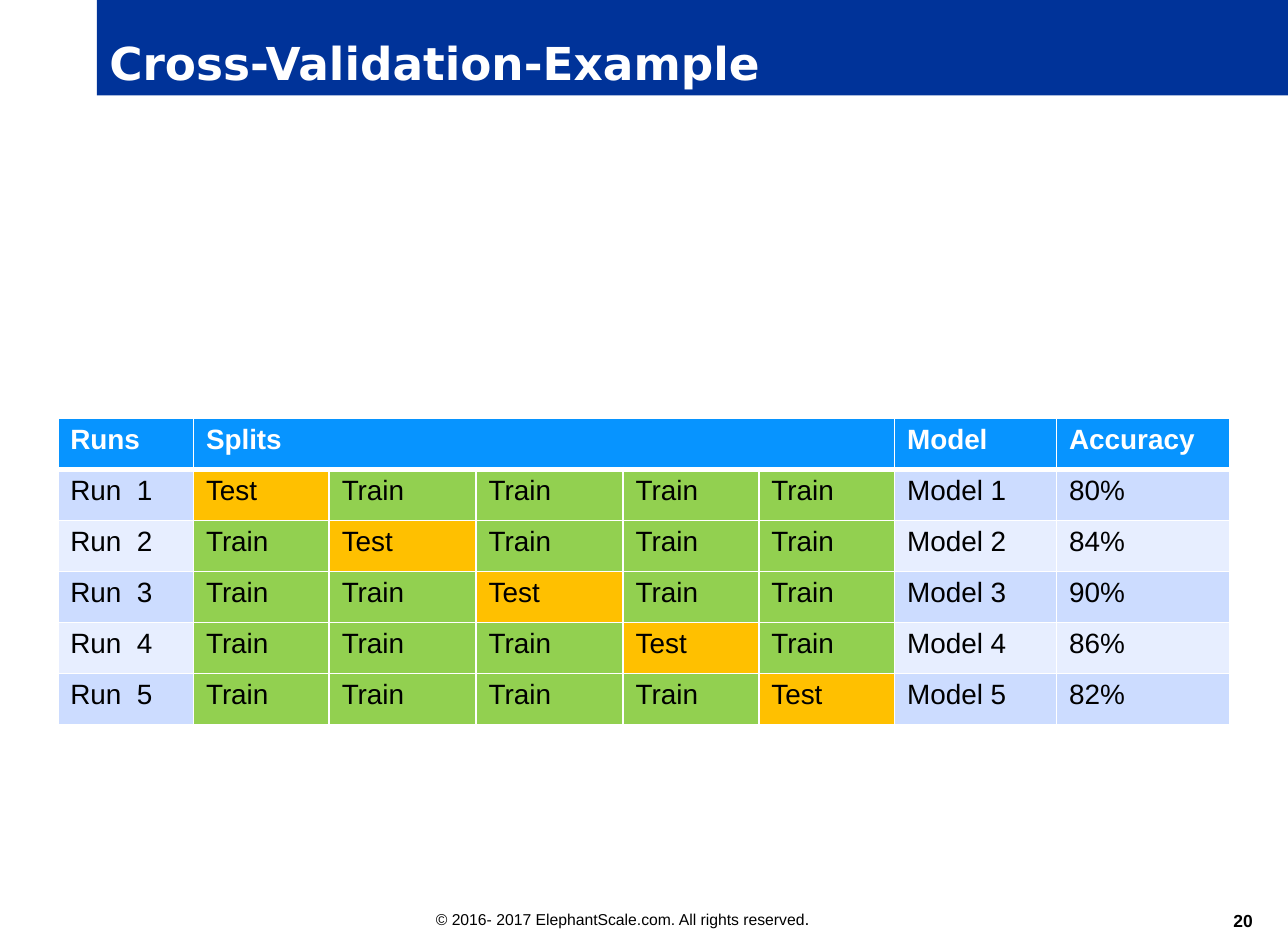
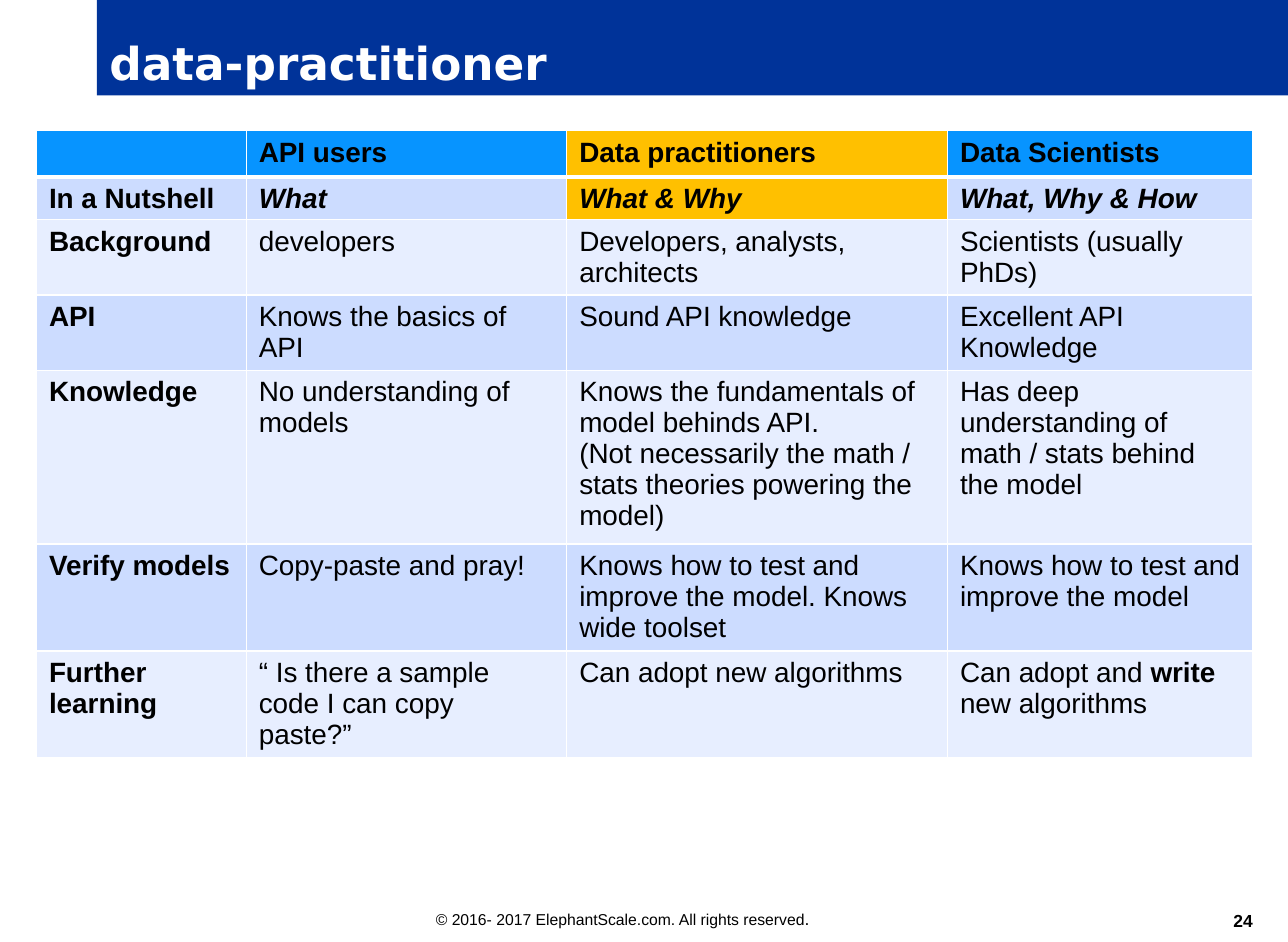
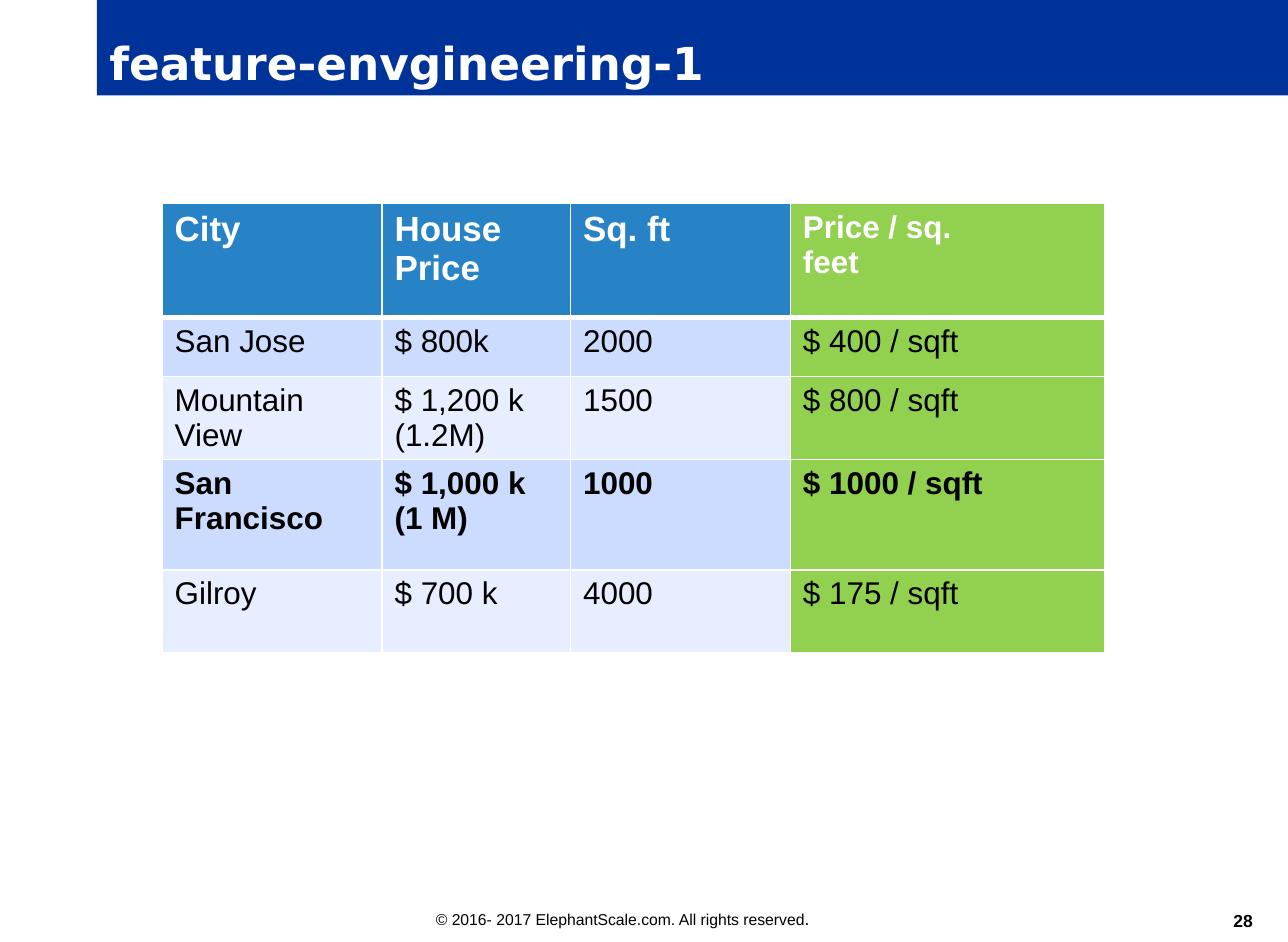
"""Build three table slides on a shared title band and footer."""
from dataclasses import dataclass

from lxml import etree
from pptx import Presentation
from pptx.dml.color import RGBColor
from pptx.enum.text import MSO_ANCHOR, MSO_AUTO_SIZE, PP_ALIGN
from pptx.oxml.ns import qn
from pptx.util import Inches, Pt

LEFT, RIGHT = PP_ALIGN.LEFT, PP_ALIGN.RIGHT
TOP, BOTTOM = MSO_ANCHOR.TOP, MSO_ANCHOR.BOTTOM
FIXED = MSO_AUTO_SIZE.NONE


@dataclass(frozen=True)
class Theme:
    """Colours, fonts, type sizes and line widths of the deck."""

    navy: str = "003399"
    head: str = "0794FF"
    steel: str = "2782C6"
    dark: str = "CCDCFF"
    light: str = "E7EEFF"
    gold: str = "FFC000"
    green: str = "92D050"
    white: str = "FFFFFF"
    black: str = "000000"
    body: str = "Arial"
    title: str = "DejaVu Sans"
    banner: int = 26
    large: int = 20
    mid: int = 18
    base: int = 16
    small: int = 10
    tiny: int = 9
    thin: float = 0.96
    thick: float = 3


THEME = Theme()
SIZE = (10.25, 7.5)
BAND = (0.77, 0, 9.48, 0.76)
FOOT = (3.37, 7.18, 4.65, 0.26)
PAGE = (9.37, 7.16, 0.6, 0.25)
RIGHTS = "© 2016- 2017 ElephantScale.com. All rights reserved"

SCORES = ["80%", "84%", "90%", "86%", "82%"]
ROLES = [
    ["", "API users", "Data practitioners", "Data Scientists"],
    ["In a Nutshell", "What", "What & Why", "What, Why & How"],
    ["Background", "developers", "Developers, analysts, architects",
     "Scientists (usually PhDs)"],
    ["API", "Knows the basics of API", "Sound API knowledge",
     "Excellent API Knowledge"],
    ["Knowledge", "No understanding of models",
     "Knows the fundamentals of model behinds API.\n"
     "(Not necessarily the math / stats theories powering the model)",
     "Has deep understanding of\nmath / stats behind\nthe model"],
    ["Verify models", "Copy-paste and pray!",
     "Knows how to test and improve the model. Knows wide toolset",
     "Knows how to test and improve the model"],
    ["Further\nlearning", "“ Is there a sample code I can copy paste?”",
     "Can adopt new algorithms", "Can adopt and *write* new algorithms"],
]
HOMES = [
    ["City", "House\nPrice", "Sq. ft", "Price / sq.\nfeet"],
    ["San Jose", "$ 800k", "2000", "$ 400 / sqft"],
    ["Mountain\nView", "$ 1,200 k\n(1.2M)", "1500", "$ 800 / sqft"],
    ["San\nFrancisco", "$ 1,000 k\n(1 M)", "1000", "$ 1000 / sqft"],
    ["Gilroy", "$ 700 k", "4000", "$ 175 / sqft"],
]


def font(size, color=THEME.black, name=THEME.body, bold=False, italic=False):
    """Return the format values of a run."""
    return {"name": name, "size": Pt(size), "bold": bold, "italic": italic,
            "color": color}


def style(target, values):
    """Set each attribute of the target from the values."""
    for key, value in values.items():
        if key == "color":
            target.color.rgb = RGBColor.from_string(value)
        else:
            setattr(target, key, value)


def add_run(para, text, values):
    """Add one formatted run to a paragraph."""
    run = para.add_run()
    run.text = text
    style(run.font, values)


def write(frame, text, values, align=LEFT):
    """Write lines as paragraphs, with words between stars in bold."""
    for row, line in enumerate(text.split("\n")):
        para = frame.add_paragraph() if row else frame.paragraphs[0]
        para.alignment = align
        for part, words in enumerate(line.split("*")):
            if words:
                strong = {"bold": True} if part % 2 else {}
                add_run(para, words, values | strong)


def paint(target, color):
    """Give a shape or cell a solid fill."""
    target.fill.solid()
    target.fill.fore_color.rgb = RGBColor.from_string(color)


def add_box(slide, box, anchor=TOP):
    """Add a wrapping text box and return its frame."""
    frame = slide.shapes.add_textbox(*map(Inches, box)).text_frame
    style(frame, {"word_wrap": True, "vertical_anchor": anchor})
    return frame


def add_title(slide, text, box):
    """Turn the title placeholder into the top band."""
    title = slide.shapes.title
    for key, size in zip(("left", "top", "width", "height"), box):
        setattr(title, key, Inches(size))
    paint(title, THEME.navy)
    style(title.text_frame, {"word_wrap": True, "auto_size": FIXED,
                             "vertical_anchor": BOTTOM})
    write(title.text_frame, text,
          font(THEME.banner, THEME.white, THEME.title, bold=True))


def add_foot(slide, box):
    """Add the copyright line."""
    para = add_box(slide, box).paragraphs[0]
    add_run(para, RIGHTS, font(THEME.tiny))
    add_run(para, ".", font(THEME.small))


def add_page(slide, number, box):
    """Add the page number."""
    frame = add_box(slide, box, BOTTOM)
    style(frame, {f"margin_{side}": 0
                  for side in ("left", "right", "top", "bottom")})
    write(frame, str(number), font(THEME.small, bold=True), RIGHT)


def edge(cell, row):
    """Draw white cell borders, thick below the header row."""
    props = cell._tc.get_or_add_tcPr()
    for side in "LRTB":
        heavy = (row, side) in ((0, "B"), (1, "T"))
        width = Pt(THEME.thick if heavy else THEME.thin)
        line = etree.SubElement(props, qn(f"a:ln{side}"), w=str(int(width)))
        fill = etree.SubElement(line, qn("a:solidFill"))
        etree.SubElement(fill, qn("a:srgbClr"), val=THEME.white)


def add_grid(slide, spot, cols, rows, cells, look):
    """Add a table whose look gives each cell a fill and font, or None."""
    box = (*spot, sum(cols), sum(rows))
    table = slide.shapes.add_table(
        len(rows), len(cols), *map(Inches, box)).table
    style(table, {"first_row": False, "horz_banding": False})
    for parts, sizes, key in ((table.columns, cols, "width"),
                              (table.rows, rows, "height")):
        for part, size in zip(parts, sizes):
            setattr(part, key, Inches(size))
    for row, line in enumerate(cells):
        for col, text in enumerate(line):
            cell = table.cell(row, col)
            fill, values = look(row, col)
            edge(cell, row)
            paint(cell, fill or (THEME.dark if row % 2 else THEME.light))
            style(cell, {"margin_bottom": 0})
            write(cell.text_frame, text, values)
    return table


def look_runs(row, col):
    """Mark the test split of each run on the diagonal."""
    if row == 0:
        return THEME.head, font(THEME.base, THEME.white, bold=True)
    fill = None
    if 1 <= col <= 5:
        fill = THEME.gold if row == col else THEME.green
    return fill, font(THEME.base)


def look_roles(row, col):
    """Stress the first rows, the first column and the practitioner."""
    fill = THEME.head if row == 0 else None
    if row < 2 and col == 2:
        fill = THEME.gold
    return fill, font(THEME.base, bold=row < 2 or col == 0,
                      italic=row == 1 and col > 0)


def look_homes(row, col):
    """Stress the derived price column and the dearest city."""
    last = col == 3
    fill = THEME.green if last else None
    if row == 0:
        size = THEME.mid if last else THEME.large
        return fill or THEME.steel, font(size, THEME.white, bold=True)
    return fill, font(THEME.mid, bold=row == 3)


def add_runs(slide, spot):
    """Add the table of validation runs."""
    cells = [["Runs", "Splits", "", "", "", "", "Model", "Accuracy"]]
    for run, score in enumerate(SCORES, 1):
        splits = ["Test" if split == run else "Train"
                  for split in range(1, 6)]
        cells.append([f"Run  {run}", *splits, f"Model {run}", score])
    cols = [1.08, 1.08, 1.17, 1.17, 1.08, 1.08, 1.29, 1.38]
    rows = [2.44 / len(cells)] * len(cells)
    table = add_grid(slide, spot, cols, rows, cells, look_runs)
    table.cell(0, 1).merge(table.cell(0, 5))


def add_roles(slide, spot):
    """Add the table that compares three roles."""
    add_grid(slide, spot, [1.67, 2.55, 3.03, 2.43],
             [0.37, 0.34, 0.6, 0.6, 1.33, 0.84, 0.84], ROLES, look_roles)


def add_homes(slide, spot):
    """Add the table of house prices."""
    add_grid(slide, spot, [1.75, 1.5, 1.75, 2.5],
             [0.91, 0.47, 0.66, 0.88, 0.66], HOMES, look_homes)


def main():
    """Build and save the deck."""
    deck = Presentation()
    deck.slide_width, deck.slide_height = map(Inches, SIZE)
    pages = [
        ("Cross-Validation-Example", 20, add_runs, (0.46, 3.33)),
        ("data-practitioner", 24, add_roles, (0.29, 1.04)),
        ("feature-envgineering-1", 28, add_homes, (1.29, 1.62)),
    ]
    for title, number, build, spot in pages:
        slide = deck.slides.add_slide(deck.slide_layouts[5])
        add_foot(slide, FOOT)
        add_title(slide, title, BAND)
        add_page(slide, number, PAGE)
        build(slide, spot)
    deck.save("out.pptx")


if __name__ == "__main__":
    main()
